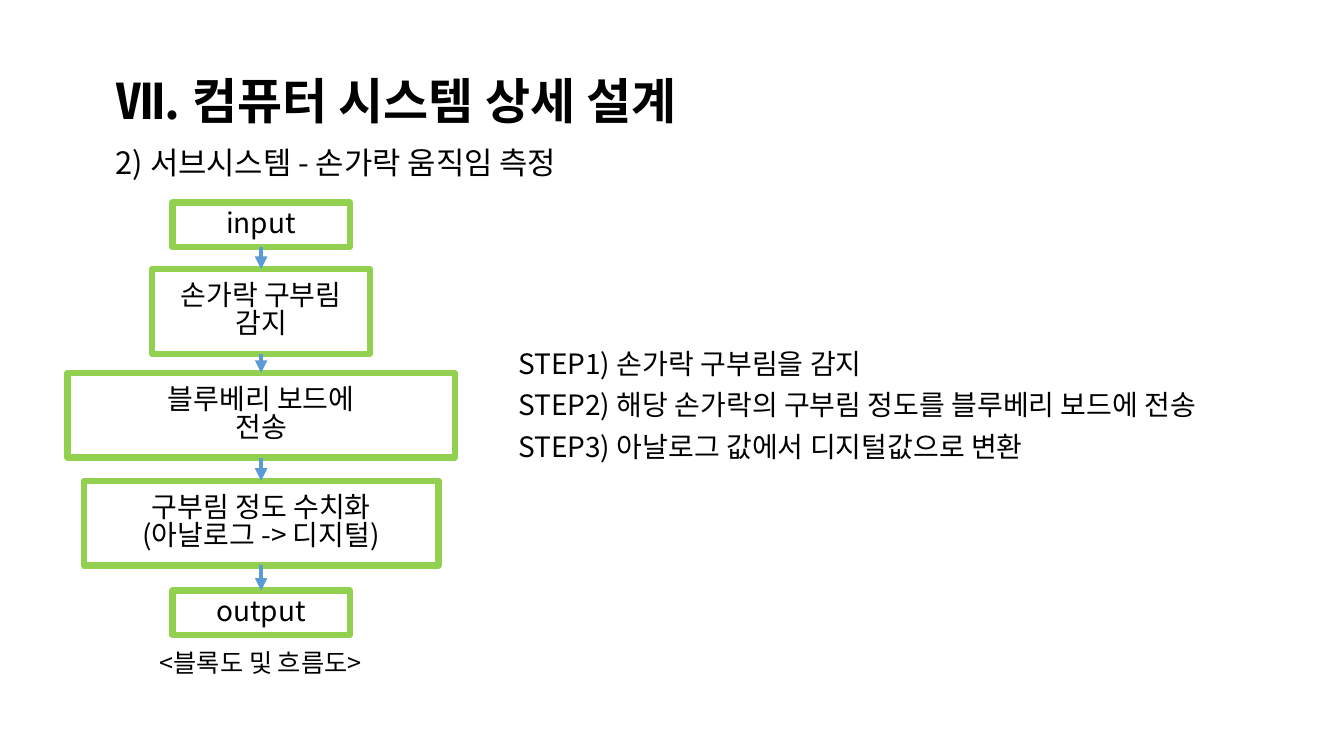
"""Build the slide on the finger movement subsystem with its flow chart."""
import pptx
import pptx.dml.color
import pptx.enum.shapes
import pptx.enum.text
import pptx.oxml.ns
import pptx.util
from lxml import etree

Inches = pptx.util.Inches
Pt = pptx.util.Pt
Align = pptx.enum.text.PP_ALIGN
Anchor = pptx.enum.text.MSO_ANCHOR
qn = pptx.oxml.ns.qn


def color(value):
    return pptx.dml.color.RGBColor.from_string(value)


class SlideBuilder:
    font = "Noto Sans CJK KR"
    ink, frame, arrow_color = "000000", "92D050", "5B9BD5"

    def __init__(self, slide):
        self.slide = slide

    def add_lines(self, box, lines, size, bold=False, align=Align.LEFT, anchor=Anchor.TOP, spacing=1.0):
        text = box.text_frame
        text.word_wrap = True
        text.auto_size = pptx.enum.text.MSO_AUTO_SIZE.NONE
        text.vertical_anchor = anchor
        for index, line in enumerate(lines):
            para = text.add_paragraph() if index else text.paragraphs[0]
            para.alignment, para.line_spacing = align, spacing
            para.space_before = para.space_after = Pt(0)
            span = para.add_run()
            span.text = line
            span.font.name, span.font.size, span.font.bold = self.font, Pt(size), bold
            span.font.color.rgb = color(self.ink)
            east_asian = etree.Element(qn("a:ea"), typeface=self.font)
            span.font._element.find(qn("a:latin")).addnext(east_asian)

    def placeholder(self, index, left, top, width, height, lines, size, **style):
        box = self.slide.placeholders[index]
        box.left, box.top, box.width, box.height = map(Inches, (left, top, width, height))
        self.add_lines(box, lines, size, **style)
        for para in box.text_frame.paragraphs:
            properties = para._p.get_or_add_pPr()
            properties.set("marL", "0")
            properties.set("indent", "0")
            etree.SubElement(properties, qn("a:buNone"))

    def label(self, left, top, width, height, line, size, **style):
        box = self.slide.shapes.add_textbox(*map(Inches, (left, top, width, height)))
        self.add_lines(box, [line], size, **style)

    def block(self, center, top, width, height, lines):
        box = self.slide.shapes.add_shape(
            pptx.enum.shapes.MSO_SHAPE.RECTANGLE,
            *map(Inches, (center - width / 2, top, width, height)))
        box.shadow.inherit = False
        box.fill.background()
        box.line.color.rgb = color(self.frame)
        box.line.width = Pt(4.5)
        self.add_lines(box, lines, 20, align=Align.CENTER, anchor=Anchor.MIDDLE, spacing=0.82)

    def arrow(self, center, start, end):
        line = self.slide.shapes.add_connector(
            pptx.enum.shapes.MSO_CONNECTOR.STRAIGHT,
            *map(Inches, (center, start, center, end)))
        line.line.color.rgb = color(self.arrow_color)
        line.line.width = Pt(3)
        etree.SubElement(line.line._get_or_add_ln(), qn("a:tailEnd"), type="triangle")
        etree.SubElement(line._element.spPr, qn("a:effectLst"))


deck = pptx.Presentation()
deck.slide_width, deck.slide_height = Inches(13.33), Inches(7.5)
page = SlideBuilder(deck.slides.add_slide(deck.slide_layouts[1]))

page.placeholder(0, 1.05, 0.75, 11.44, 0.69, ["Ⅶ. 컴퓨터 시스템 상세 설계"], 35, bold=True, spacing=0.82)
page.label(1.05, 1.44, 6.3, 0.47, "2) 서브시스템 - 손가락 움직임 측정", 22, spacing=0.82)
page.placeholder(1, 5.04, 3.31, 7.94, 1.62, [
    "STEP1) 손가락 구부림을 감지",
    "STEP2) 해당 손가락의 구부림 정도를 블루베리 보드에 전송",
    "STEP3) 아날로그 값에서 디지털값으로 변환",
], 20, spacing=1.23)

flow_center = 2.59
blocks = [
    (2.01, 1.76, 0.44, ["input"]),
    (2.67, 2.16, 0.84, ["손가락 구부림", "감지"]),
    (3.7, 3.84, 0.84, ["블루베리 보드에", "전송"]),
    (4.77, 3.52, 0.84, ["구부림 정도 수치화", "(아날로그 -> 디지털)"]),
    (5.86, 1.76, 0.44, ["output"]),
]
for top, width, height, lines in blocks:
    page.block(flow_center, top, width, height, lines)
for (top, _, height, _), following in zip(blocks, blocks[1:]):
    page.arrow(flow_center, top + height, following[0])
page.label(1.37, 6.43, 2.43, 0.71, "<블록도 및 흐름도>", 18, align=Align.CENTER, spacing=0.82)

deck.save("out.pptx")
